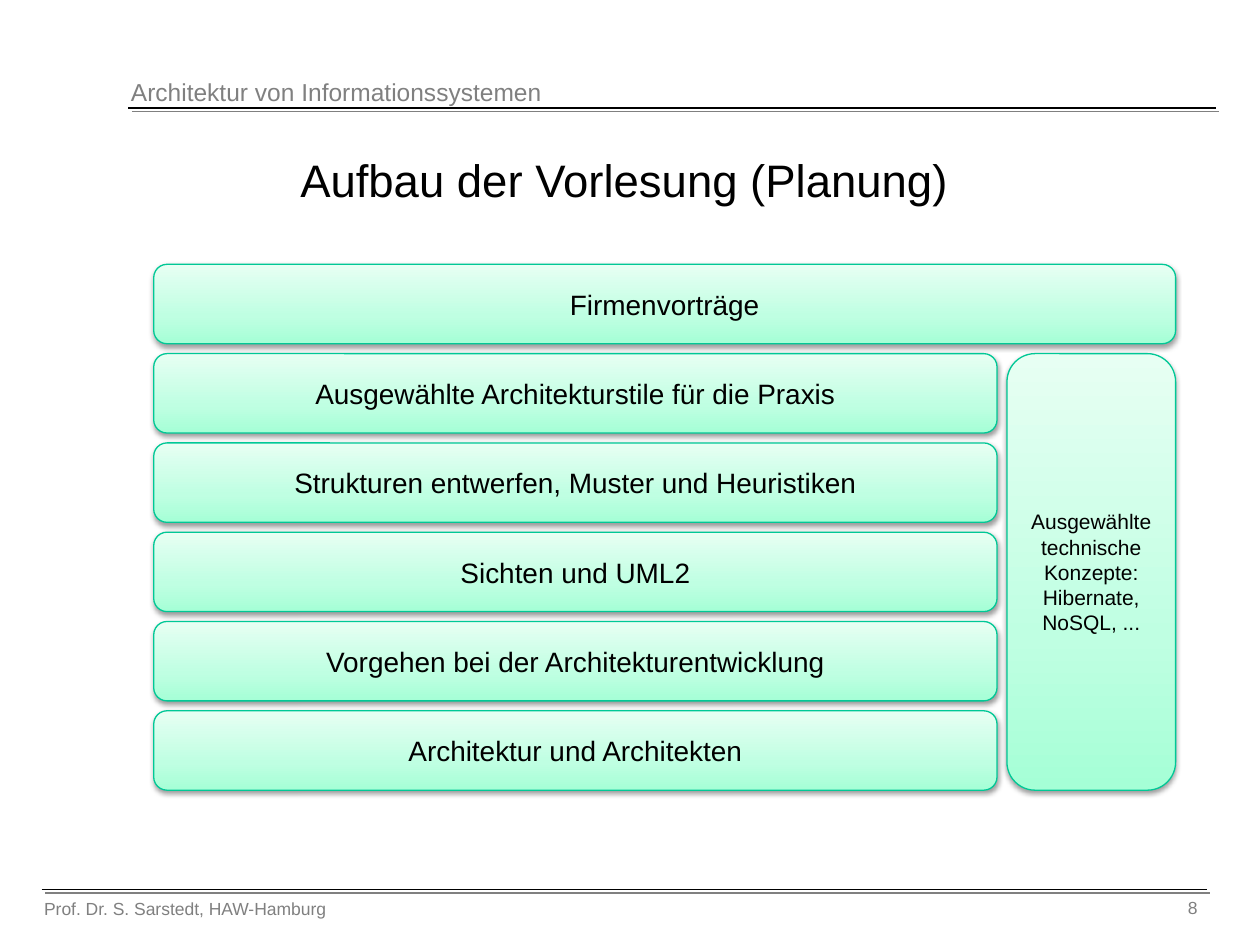
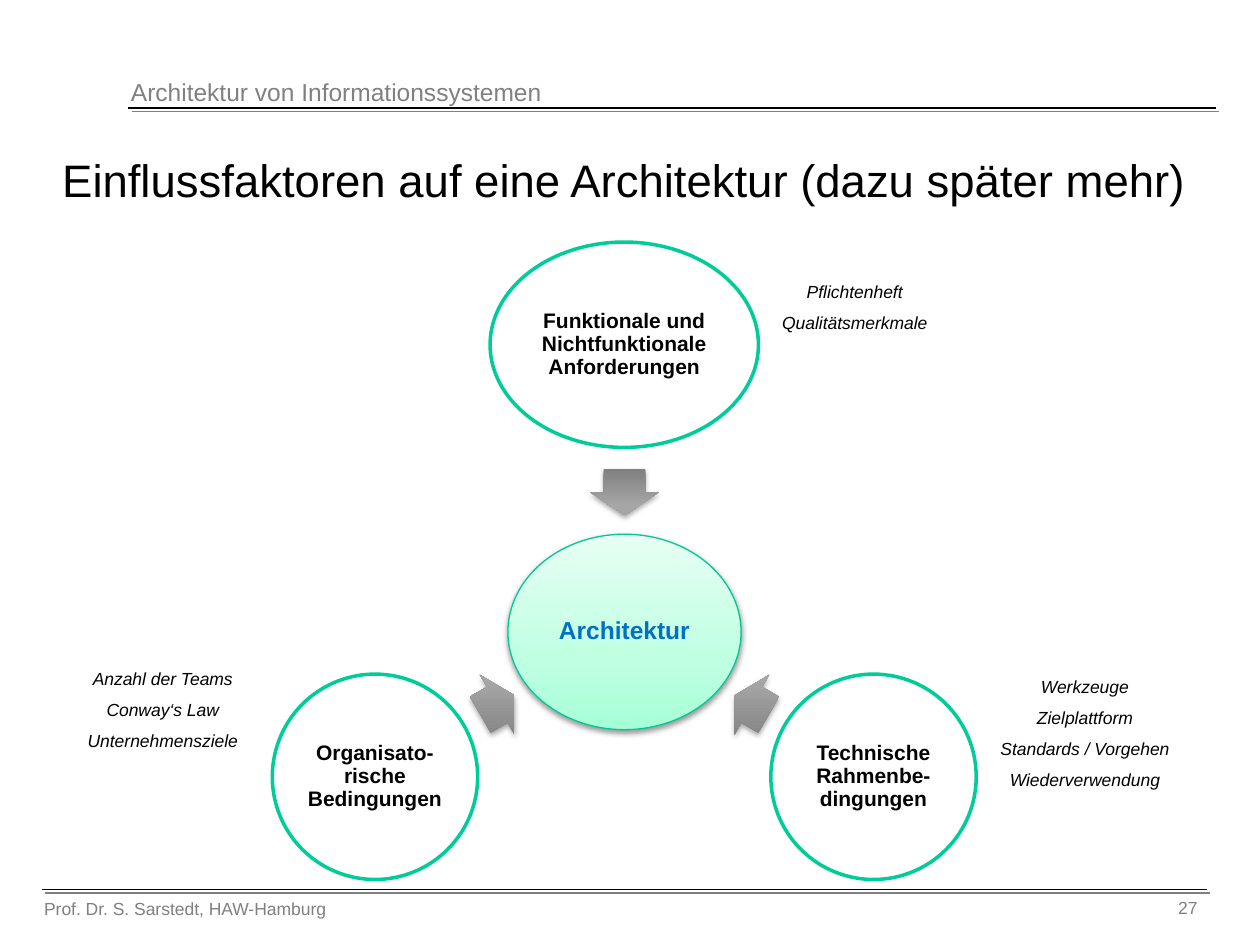
"""Build two lecture slides on the architecture of information systems."""
from dataclasses import dataclass

from pptx import Presentation
from pptx.dml.color import RGBColor
from pptx.enum.shapes import MSO_CONNECTOR, MSO_SHAPE
from pptx.enum.text import MSO_ANCHOR, MSO_AUTO_SIZE, PP_ALIGN
from pptx.oxml import parse_xml
from pptx.oxml.ns import nsdecls, qn
from pptx.util import Cm, Pt

LEFT, CENTER, RIGHT = PP_ALIGN.LEFT, PP_ALIGN.CENTER, PP_ALIGN.RIGHT
MIDDLE, TOP = MSO_ANCHOR.MIDDLE, MSO_ANCHOR.TOP
NO_AUTOFIT = MSO_AUTO_SIZE.NONE
STRAIGHT = MSO_CONNECTOR.STRAIGHT
ROUNDED, OVAL, ARROW = MSO_SHAPE.ROUNDED_RECTANGLE, MSO_SHAPE.OVAL, MSO_SHAPE.RIGHT_ARROW
TITLE_ONLY = 5


@dataclass(frozen=True)
class Theme:
    """Colours, type sizes and effects shared by the slides."""
    font: str = "Arial"
    ink: str = "000000"
    paper: str = "FFFFFF"
    muted: str = "808080"
    accent: str = "0070C0"
    block_edge: str = "00C896"
    ring_edge: str = "00CC99"
    mint: tuple = ((0, "A5FFD6"), (35, "BFFFE2"), (100, "E7FFF3"))
    steel: tuple = ((0, "808080"), (80, "A6A6A6"), (100, "A7A7A7"))
    rule_shadow: tuple = ("808080", 100, 0, 2.8, 45)
    block_shadow: tuple = ("000000", 38, 3.1, 1.6, 90)
    arrow_shadow: tuple = ("000000", 35, 3.1, 1.8, 90)
    title_size: int = 26
    block_size: int = 16
    header_size: int = 14
    factor_size: int = 12
    small_size: int = 10


THEME = Theme()


def cm_box(*lengths):
    """Convert left, top, width and height to centimetre lengths."""
    return [Cm(length) for length in lengths]


def write(frame, lines, size, color=THEME.ink, align=CENTER, anchor=MIDDLE,
          bold=False, italic=False, line_spacing=None):
    """Fill a text frame with formatted paragraphs."""
    frame.text = "\n".join(lines)
    frame.vertical_anchor = anchor
    for index, paragraph in enumerate(frame.paragraphs):
        paragraph.alignment = align
        paragraph.line_spacing = line_spacing
        if index:
            paragraph.space_before = Pt(size * 0.57)
        for run in paragraph.runs:
            font = run.font
            font.name, font.size = THEME.font, Pt(size)
            font.bold, font.italic = bold, italic
            font.color.rgb = RGBColor.from_string(color)


def add_shadow(target, shadow):
    """Give a shape or connector an outer shadow."""
    color, alpha, blur, distance, angle = shadow
    target.element.spPr.append(parse_xml(
        f'<a:effectLst {nsdecls("a")}><a:outerShdw blurRad="{Pt(blur)}" dist="{Pt(distance)}" '
        f'dir="{angle * 60000}" algn="t" rotWithShape="0"><a:srgbClr val="{color}">'
        f'<a:alpha val="{alpha * 1000}"/></a:srgbClr></a:outerShdw></a:effectLst>'))


def fill_gradient(shape, stops, angle=90):
    """Fill a shape with a linear gradient that ignores its rotation."""
    shape.fill.gradient()
    shape.fill.gradient_angle = angle
    gradient = shape.element.spPr.find(qn("a:gradFill"))
    gradient.set("rotWithShape", "0")
    stop_list = gradient.find(qn("a:gsLst"))
    for old_stop in list(stop_list):
        stop_list.remove(old_stop)
    for position, color in stops:
        stop_list.append(parse_xml(
            f'<a:gs {nsdecls("a")} pos="{position * 1000}"><a:srgbClr val="{color}"/></a:gs>'))


def set_edge(target, color, width):
    """Set the outline of a shape or connector."""
    target.line.color.rgb = RGBColor.from_string(color)
    target.line.width = Pt(width)


def add_rule(slide, left, right, y):
    """Draw a thin horizontal rule with a hard shadow."""
    rule = slide.shapes.add_connector(STRAIGHT, Cm(left), Cm(y), Cm(right), Cm(y))
    set_edge(rule, THEME.ink, 0.75)
    add_shadow(rule, THEME.rule_shadow)


def add_label(slide, box, lines, size, wrap=True, **style):
    """Place free text on the slide."""
    frame = slide.shapes.add_textbox(*cm_box(*box)).text_frame
    frame.word_wrap = wrap
    write(frame, lines, size, anchor=TOP, **style)


def add_mint_shape(slide, preset, box):
    """Draw a shaded mint shape."""
    shape = slide.shapes.add_shape(preset, *cm_box(*box))
    fill_gradient(shape, THEME.mint)
    set_edge(shape, THEME.block_edge, 0.75)
    add_shadow(shape, THEME.block_shadow)
    return shape


def add_block(slide, box, text, size=THEME.block_size):
    """Draw one building block of the lecture."""
    frame = add_mint_shape(slide, ROUNDED, box).text_frame
    frame.word_wrap = True
    write(frame, [text], size)


def write_in_oval(oval, text, size, color=THEME.ink):
    """Write bold, tightly set text inside an oval."""
    frame = oval.text_frame
    frame.word_wrap = True
    frame.margin_left = frame.margin_right = Cm(0.05)
    frame.margin_top = frame.margin_bottom = Cm(0.05)
    write(frame, [text], size, color, bold=True, line_spacing=0.9)


def add_factor(slide, box, text):
    """Draw a ringed influence factor."""
    ring = slide.shapes.add_shape(OVAL, *cm_box(*box))
    ring.shadow.inherit = False
    ring.fill.solid()
    ring.fill.fore_color.rgb = RGBColor.from_string(THEME.paper)
    set_edge(ring, THEME.ring_edge, 2)
    write_in_oval(ring, text, THEME.factor_size)


def add_influence(slide, box, rotation, gradient_angle=90):
    """Draw a grey arrow pointing at the centre."""
    arrow = slide.shapes.add_shape(ARROW, *cm_box(*box))
    arrow.rotation = rotation
    arrow.adjustments[0], arrow.adjustments[1] = 0.6, 0.5
    fill_gradient(arrow, THEME.steel, gradient_angle)
    arrow.line.fill.background()
    add_shadow(arrow, THEME.arrow_shadow)


def add_lecture_slide(deck, title, number):
    """Add a slide with its title, rules, header and footer."""
    slide = deck.slides.add_slide(deck.slide_layouts[TITLE_ONLY])
    heading = slide.shapes.title
    heading.left, heading.top, heading.width, heading.height = cm_box(0.84, 2.97, 23.5, 1.27)
    heading.text_frame.auto_size = NO_AUTOFIT
    write(heading.text_frame, [title], THEME.title_size)
    add_rule(slide, 2.59, 24.51, 2.18)
    add_rule(slide, 0.84, 24.33, 17.93)
    for box, text, size, align in (
            ((2.39, 1.42, 17.8, 0.86), "Architektur von Informationssystemen",
             THEME.header_size, LEFT),
            ((0.64, 17.98, 11.43, 0.69), "Prof. Dr. S. Sarstedt, HAW-Hamburg",
             THEME.small_size, LEFT),
            ((21.79, 17.96, 2.6, 0.79), str(number), THEME.small_size, RIGHT)):
        add_label(slide, box, [text], size, color=THEME.muted, align=align)
    return slide


def build_plan(deck):
    """Build the slide with the structure of the lecture."""
    slide = add_lecture_slide(deck, "Aufbau der Vorlesung (Planung)", 8)
    left, top, full_width, height, gap = 3.1, 5.33, 20.6, 1.6, 0.2
    side_width = 3.4
    topic_width = full_width - side_width - gap
    pitch = height + gap
    topics = ("Ausgewählte Architekturstile für die Praxis",
              "Strukturen entwerfen, Muster und Heuristiken",
              "Sichten und UML2",
              "Vorgehen bei der Architekturentwicklung",
              "Architektur und Architekten")
    add_block(slide, (left, top, full_width, height), "Firmenvorträge")
    for row, topic in enumerate(topics, start=1):
        add_block(slide, (left, top + row * pitch, topic_width, height), topic)
    add_block(slide, (left + topic_width + gap, top + pitch, side_width,
                      len(topics) * pitch - gap),
              "Ausgewählte technische Konzepte: Hibernate, NoSQL, ...", THEME.factor_size)


def build_factors(deck):
    """Build the slide with the influences on an architecture."""
    slide = add_lecture_slide(
        deck, "Einflussfaktoren auf eine Architektur (dazu später mehr)", 27)
    core = add_mint_shape(slide, OVAL, (10.24, 10.77, 4.7, 3.94))
    write_in_oval(core, "Architektur", THEME.header_size, THEME.accent)
    diameter = 4.14
    add_factor(slide, (9.88, 4.88, 5.41, diameter),
               "Funktionale und Nichtfunktionale Anforderungen")
    add_factor(slide, (15.54, 13.59, diameter, diameter), "Technische Rahmenbe-dingungen")
    add_factor(slide, (5.49, 13.59, diameter, diameter), "Organisato-rische Bedingungen")
    add_influence(slide, (12.12, 9.22, 0.94, 1.4), 90, gradient_angle=270)
    add_influence(slide, (14.76, 13.51, 0.79, 1.4), 210)
    add_influence(slide, (9.63, 13.51, 0.79, 1.4), 330)
    for box, examples in (
            ((15.49, 5.54, 3.48, 1.32), ("Pflichtenheft", "Qualitätsmerkmale")),
            ((19.89, 13.51, 3.96, 2.62),
             ("Werkzeuge", "Zielplattform", "Standards / Vorgehen", "Wiederverwendung")),
            ((1.5, 13.34, 3.56, 1.96),
             ("Anzahl der Teams", "Conway‘s Law", "Unternehmensziele"))):
        add_label(slide, box, examples, THEME.small_size, wrap=False, italic=True)


def main():
    """Create the presentation and save it."""
    deck = Presentation()
    deck.slide_width, deck.slide_height = Cm(25.4), Cm(19.05)
    build_plan(deck)
    build_factors(deck)
    deck.save("out.pptx")


if __name__ == "__main__":
    main()
